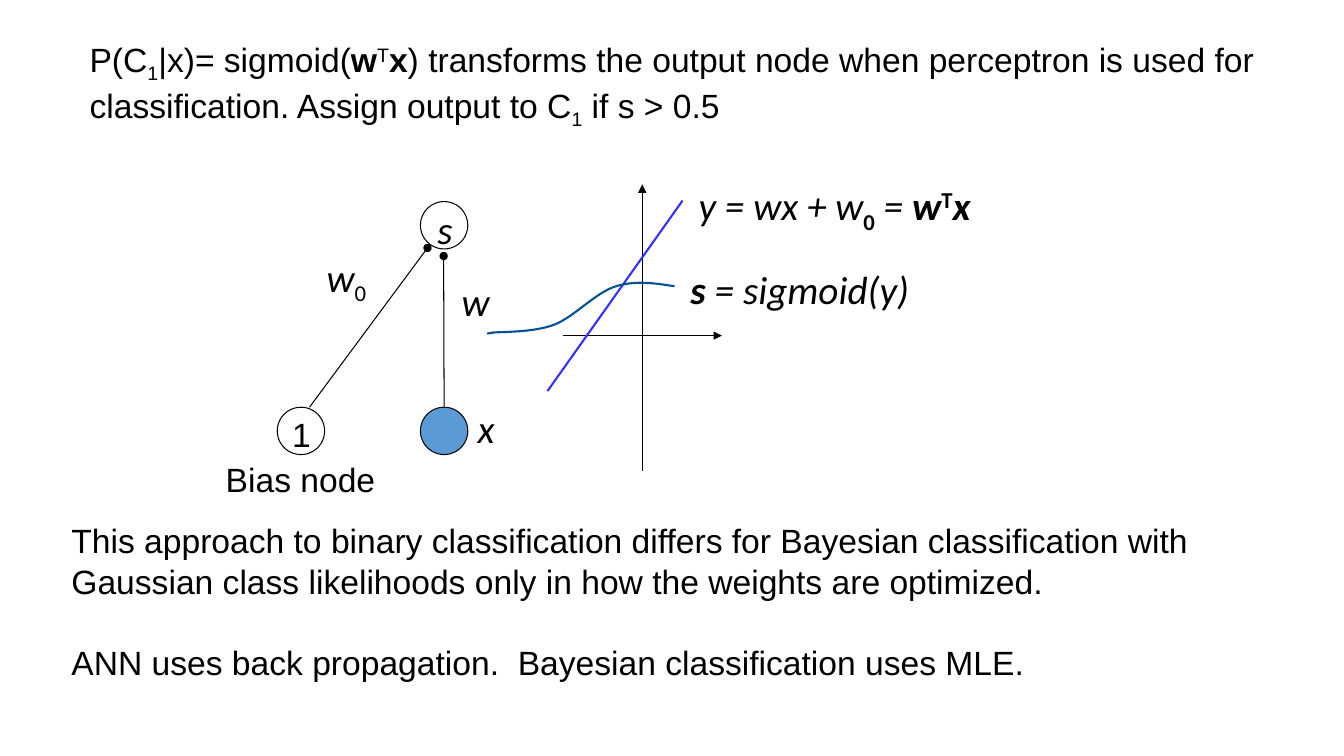
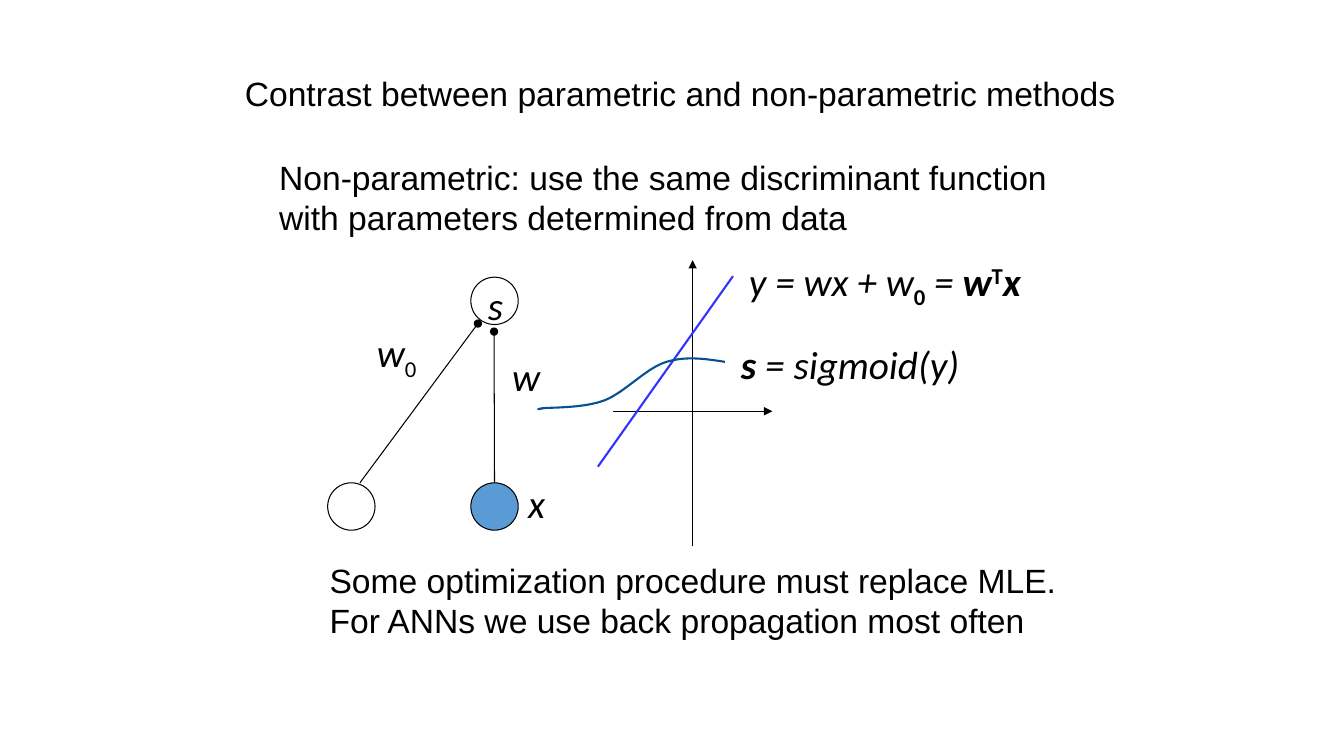
from lxml.etree import SubElement
from pptx import Presentation
from pptx.dml.color import RGBColor
from pptx.enum.shapes import MSO_CONNECTOR, MSO_SHAPE
from pptx.enum.text import MSO_AUTO_SIZE as AutoSize
from pptx.oxml.ns import qn
from pptx.util import Pt

PX = 9144
BLACK = "000000"
NODE_BLUE = "5B9BD5"
LINE_BLUE = "3333FF"
CURVE_BLUE = "065093"
BODY = {"font": "Arial", "size": 24, "spacing": 29}
FORMULA = {"font": "Calibri", "size": 28}
NODE = 47
BASELINES = {"sub": "-25000", "sup": "30000"}
SIGMOID_START = (394, 109)
SIGMOID_CURVES = [
    [(375, 106), (356, 103), (336, 109)],
    [(316, 115), (295, 139), (275, 147)],
    [(254, 155), (223, 154), (213, 155)],
    [(203, 157), (214, 155), (214, 155)],
]


def px(*lengths):
    return [round(length * PX) for length in lengths]


def color(hex_string):
    return RGBColor.from_string(hex_string)


def set_line(shape, hex_string, width):
    shape.line.color.rgb = color(hex_string)
    shape.line.width = Pt(width)


def add_text(slide, box, paragraphs, font, size, spacing=None, wrap=False, gap=0):
    shape = slide.shapes.add_textbox(*px(*box))
    frame = shape.text_frame
    frame.word_wrap = wrap
    frame.auto_size = AutoSize.SHAPE_TO_FIT_TEXT
    for index, runs in enumerate(paragraphs):
        paragraph = frame.add_paragraph() if index else frame.paragraphs[0]
        if spacing:
            paragraph.line_spacing = Pt(spacing)
        if index and gap:
            paragraph.space_before = Pt(gap)
        for text, style in runs:
            run = paragraph.add_run()
            run.text = text
            run.font.name = font
            run.font.size = Pt(size)
            run.font.color.rgb = color(BLACK)
            marks = style.split()
            run.font.bold = "bold" in marks
            run.font.italic = "italic" in marks
            for mark in marks:
                if mark in BASELINES:
                    run.font._element.set("baseline", BASELINES[mark])


def plain(*lines):
    return [[(line, "")] for line in lines]


def add_node(slide, left, top, fill=None):
    node = slide.shapes.add_shape(MSO_SHAPE.OVAL, *px(left, top, NODE, NODE))
    node.shadow.inherit = False
    if fill:
        node.fill.solid()
        node.fill.fore_color.rgb = color(fill)
    else:
        node.fill.background()
    set_line(node, BLACK, 0.75)
    return node


def add_line(slide, start, end, hex_string=BLACK, width=0.75, tail=None):
    line = slide.shapes.add_connector(MSO_CONNECTOR.STRAIGHT, *px(*start, *end))
    set_line(line, hex_string, width)
    properties = line._element.spPr
    if tail:
        SubElement(properties.get_or_add_ln(), qn("a:tailEnd"), type=tail)
    SubElement(properties, qn("a:effectLst"))
    return line


def bezier_points(start, curves, steps=16):
    points = []
    for first, second, end in curves:
        for step in range(1, steps + 1):
            t = step / steps
            weights = ((1 - t) ** 3, 3 * t * (1 - t) ** 2, 3 * t * t * (1 - t), t ** 3)
            corners = (start, first, second, end)
            points.append(tuple(
                sum(weight * corner[axis] for weight, corner in zip(weights, corners))
                for axis in (0, 1)))
        start = end
    return points


def add_perceptron(slide, left, top):
    def at(x, y):
        return left + x, top + y

    def formula(x, y, width, *runs):
        add_text(slide, (*at(x, y), width, 57), [runs], **FORMULA)

    input_node = add_node(slide, *at(142, 229), fill=NODE_BLUE)
    add_node(slide, *at(0, 229))
    add_node(slide, *at(142, 25))
    weight_line = add_line(slide, at(165, 229), at(165, 79), tail="oval")
    weight_line.begin_connect(input_node, 0)
    add_line(slide, at(32, 229), at(149, 71), tail="oval")

    formula(173, 95, 48, ("w", "italic"))
    formula(39, 71, 61, ("w", "italic"), ("0", "sub"))
    formula(189, 221, 37, ("x", "italic"))
    formula(149, 24, 35, ("s", "italic"))
    formula(408, 0, 295, ("y = wx + w", "italic"), ("0", "bold sub"), (" = ", "italic"),
            ("w", "bold italic"), ("T", "bold sup"), ("x", "bold italic"))
    formula(400, 83, 237, ("s", "bold italic"), (" = sigmoid(y)", "italic"))

    add_line(slide, at(283, 158), at(441, 158), tail="triangle")
    add_line(slide, at(362, 292), at(362, 8), tail="triangle")
    add_line(slide, at(268, 213), at(402, 24), LINE_BLUE, 1.5)

    builder = slide.shapes.build_freeform(*px(*at(*SIGMOID_START)), scale=1.0)
    builder.add_line_segments(
        [px(*at(*point)) for point in bezier_points(SIGMOID_START, SIGMOID_CURVES)],
        close=False)
    sigmoid = builder.convert_to_shape()
    sigmoid.shadow.inherit = False
    sigmoid.fill.background()
    set_line(sigmoid, CURVE_BLUE, 1.5)


def build_classification(slide):
    heading = [("P(C", ""), ("1", "sub"), ("|x)= sigmoid(", ""), ("w", "bold"),
               ("T", "sup"), ("x", "bold"),
               (") transforms the output node when perceptron is used for "
                "classification. Assign output to C", ""),
               ("1", "sub"), (" if s > 0.5", "")]
    add_text(slide, (79, 33, 1208, 91), [heading], wrap=True, **{**BODY, "spacing": 33})
    add_perceptron(slide, 275, 175)
    add_text(slide, (214, 450, 169, 50), plain("Bias node"), **BODY)
    add_text(slide, (61, 511, 1245, 172), plain(
        "This approach to binary classification differs for Bayesian classification with "
        "Gaussian class likelihoods only in how the weights are optimized.",
        "ANN uses back propagation.  Bayesian classification uses MLE."),
        wrap=True, gap=29, **BODY)
    add_text(slide, (280, 405, 39, 50), plain("1"), **BODY)


def build_contrast(slide):
    add_text(slide, (233, 67, 884, 50),
             plain("Contrast between parametric and non-parametric methods"), **BODY)
    add_text(slide, (267, 150, 790, 91),
             plain("Non-parametric: use the same discriminant function",
                   "with parameters determined from data"), **BODY)
    add_perceptron(slide, 325, 250)
    add_text(slide, (317, 550, 748, 91),
             plain("Some optimization procedure must replace MLE.",
                   "For ANNs we use back propagation most often"), **BODY)


def main():
    presentation = Presentation()
    presentation.slide_width, presentation.slide_height = px(1333, 750)
    for build in (build_classification, build_contrast):
        build(presentation.slides.add_slide(presentation.slide_layouts[6]))
    presentation.save("out.pptx")


if __name__ == "__main__":
    main()
